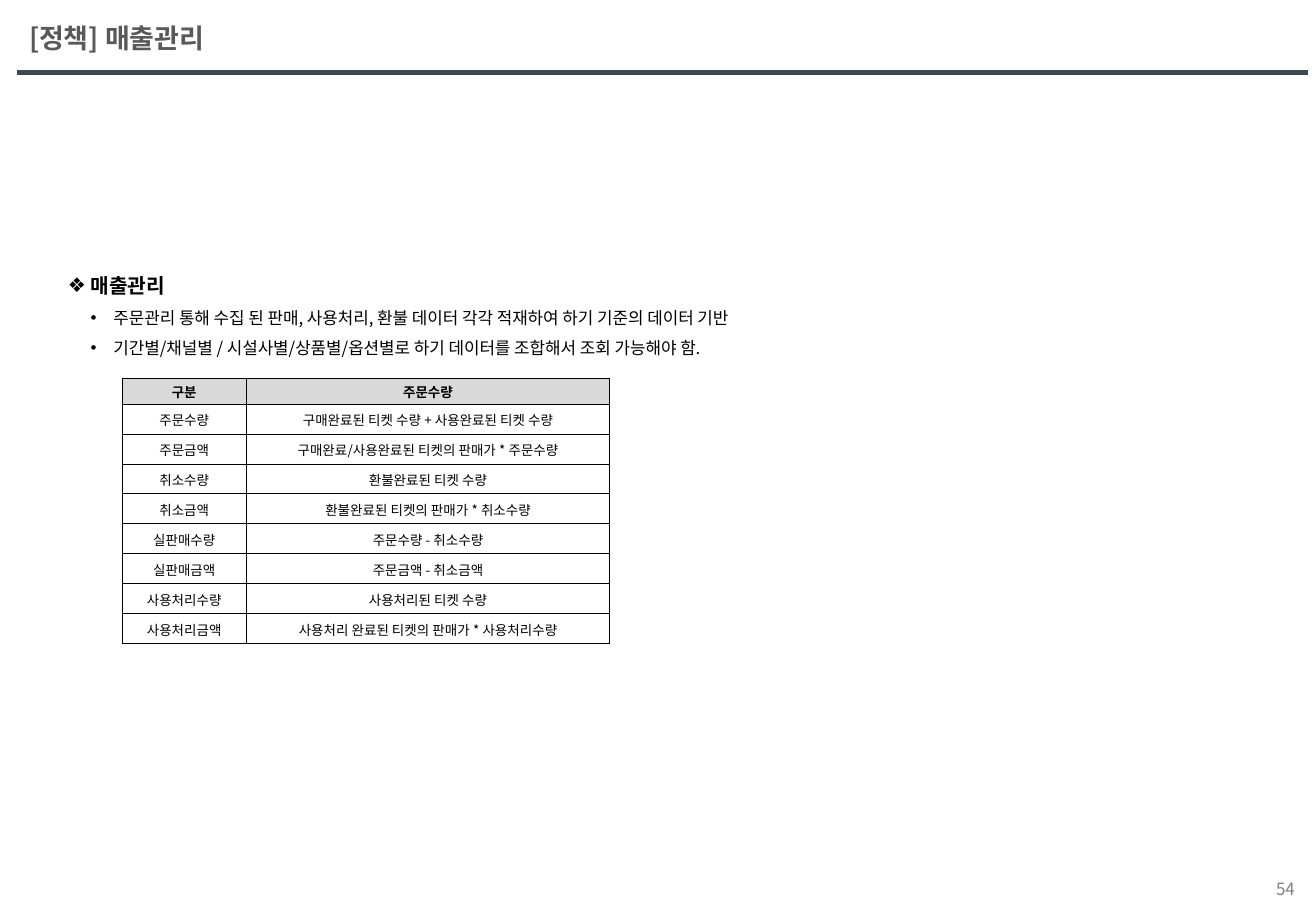
from dataclasses import dataclass

import pptx
import pptx.dml.color
import pptx.enum.text
import pptx.oxml
import pptx.oxml.ns
import pptx.util
from lxml import etree

Pt = pptx.util.Pt
Align = pptx.enum.text.PP_ALIGN
Anchor = pptx.enum.text.MSO_ANCHOR
qn = pptx.oxml.ns.qn
FACE = "Noto Sans CJK KR"


@dataclass
class Style:
    size: float
    color: str = "000000"
    bold: bool = False
    align: Align = Align.LEFT


@dataclass
class Item:
    text: str
    mark: str
    left: float
    style: Style


HEAD = Style(8, bold=True, align=Align.CENTER)
CELL = Style(8, align=Align.CENTER)
POINT = Style(10)
STEP = 13.5  # list indent

ITEMS = [
    Item("매출관리", "❖", STEP, Style(12, bold=True)),
    Item("주문관리 통해 수집 된 판매, 사용처리, 환불 데이터 각각 적재하여 하기 기준의 데이터 기반",
         "•", 2 * STEP, POINT),
    Item("기간별/채널별 / 시설사별/상품별/옵션별로 하기 데이터를 조합해서 조회 가능해야 함.",
         "•", 2 * STEP, POINT),
]

ROWS = [
    ("구분", "주문수량"),
    ("주문수량", "구매완료된 티켓 수량 + 사용완료된 티켓 수량"),
    ("주문금액", "구매완료/사용완료된 티켓의 판매가 * 주문수량"),
    ("취소수량", "환불완료된 티켓 수량"),
    ("취소금액", "환불완료된 티켓의 판매가 * 취소수량"),
    ("실판매수량", "주문수량 - 취소수량"),
    ("실판매금액", "주문금액 - 취소금액"),
    ("사용처리수량", "사용처리된 티켓 수량"),
    ("사용처리금액", "사용처리 완료된 티켓의 판매가 * 사용처리수량"),
]
WIDTHS = (73.5, 215.5)
TOP_ROW, ROW = 15, 17.75


def rgb(code: str) -> pptx.dml.color.RGBColor:
    return pptx.dml.color.RGBColor.from_string(code)


def write(para, text: str, style: Style) -> None:
    para.text = text
    para.alignment = style.align
    font = para.font
    font.size, font.bold, font.name = Pt(style.size), style.bold, FACE
    font.color.rgb = rgb(style.color)
    # East Asian face for the Korean text
    base = para._p.pPr.find(qn("a:defRPr"))
    etree.SubElement(base, qn("a:ea"), typeface=FACE)


def place(shape, left: float, top: float, width: float, height: float) -> None:
    shape.left, shape.top = Pt(left), Pt(top)
    shape.width, shape.height = Pt(width), Pt(height)


def add_item(para, item: Item) -> None:
    props = para._p.get_or_add_pPr()
    props.set("marL", str(Pt(item.left)))
    props.set("indent", str(-Pt(STEP)))
    etree.SubElement(props, qn("a:buChar"), char=item.mark)
    para.line_spacing = 1.5
    para.space_before = Pt(0)
    write(para, item.text, item.style)


def fill_cell(cell, text: str, style: Style, back: str) -> None:
    props = cell._tc.get_or_add_tcPr()
    for side in ("lnL", "lnR", "lnT", "lnB"):
        line = etree.SubElement(props, qn(f"a:{side}"), w=str(Pt(0.5)))
        paint = etree.SubElement(line, qn("a:solidFill"))
        etree.SubElement(paint, qn("a:srgbClr"), val="000000")
    cell.fill.solid()
    cell.fill.fore_color.rgb = rgb(back)
    cell.margin_left = cell.margin_right = cell.margin_top = Pt(0.7)
    cell.margin_bottom = Pt(0)
    cell.vertical_anchor = Anchor.MIDDLE
    write(cell.text_frame.paragraphs[0], text, style)


def add_grid(slide) -> None:
    high = TOP_ROW + ROW * (len(ROWS) - 1)
    table = slide.shapes.add_table(len(ROWS), len(WIDTHS), Pt(72.5), Pt(224.5),
                                   Pt(sum(WIDTHS)), Pt(high)).table
    table.first_row = table.horz_banding = False
    for column, width in zip(table.columns, WIDTHS):
        column.width = Pt(width)
    for r, texts in enumerate(ROWS):
        table.rows[r].height = Pt(ROW if r else TOP_ROW)
        style, back = (CELL, "FFFFFF") if r else (HEAD, "D9D9D9")
        for c, text in enumerate(texts):
            fill_cell(table.cell(r, c), text, style, back)


def main() -> None:
    deck = pptx.Presentation()
    deck.slide_width, deck.slide_height = Pt(780), Pt(540)
    slide = deck.slides.add_slide(deck.slide_layouts[1])
    title, body = slide.placeholders

    # Title and rule
    place(title, 10, 2, 626.5, 41)
    title.text_frame.vertical_anchor = Anchor.MIDDLE
    write(title.text_frame.paragraphs[0], "[정책] 매출관리",
          Style(16, "595959", True))
    rule = slide.shapes.add_connector(
        pptx.enum.shapes.MSO_CONNECTOR.STRAIGHT, Pt(10), Pt(43), Pt(775), Pt(43))
    rule.line.color.rgb = rgb("3E484F")
    rule.line.width = Pt(3)
    etree.SubElement(rule._element.spPr, qn("a:effectLst"))

    # Policy list
    place(body, 33, 151, 686, 245)
    frame = body.text_frame
    frame.auto_size = pptx.enum.text.MSO_AUTO_SIZE.NONE
    frame.vertical_anchor = Anchor.TOP
    for i, item in enumerate(ITEMS):
        add_item(frame.add_paragraph() if i else frame.paragraphs[0], item)

    # Definitions
    add_grid(slide)

    # Page number
    page = slide.shapes.add_textbox(Pt(592.5), Pt(512.5), Pt(182), Pt(29))
    page.text_frame.word_wrap = True
    page.text_frame.vertical_anchor = Anchor.MIDDLE
    write(page.text_frame.paragraphs[0], "54",
          Style(10, "808080", align=Align.RIGHT))

    deck.save("out.pptx")


if __name__ == "__main__":
    main()
